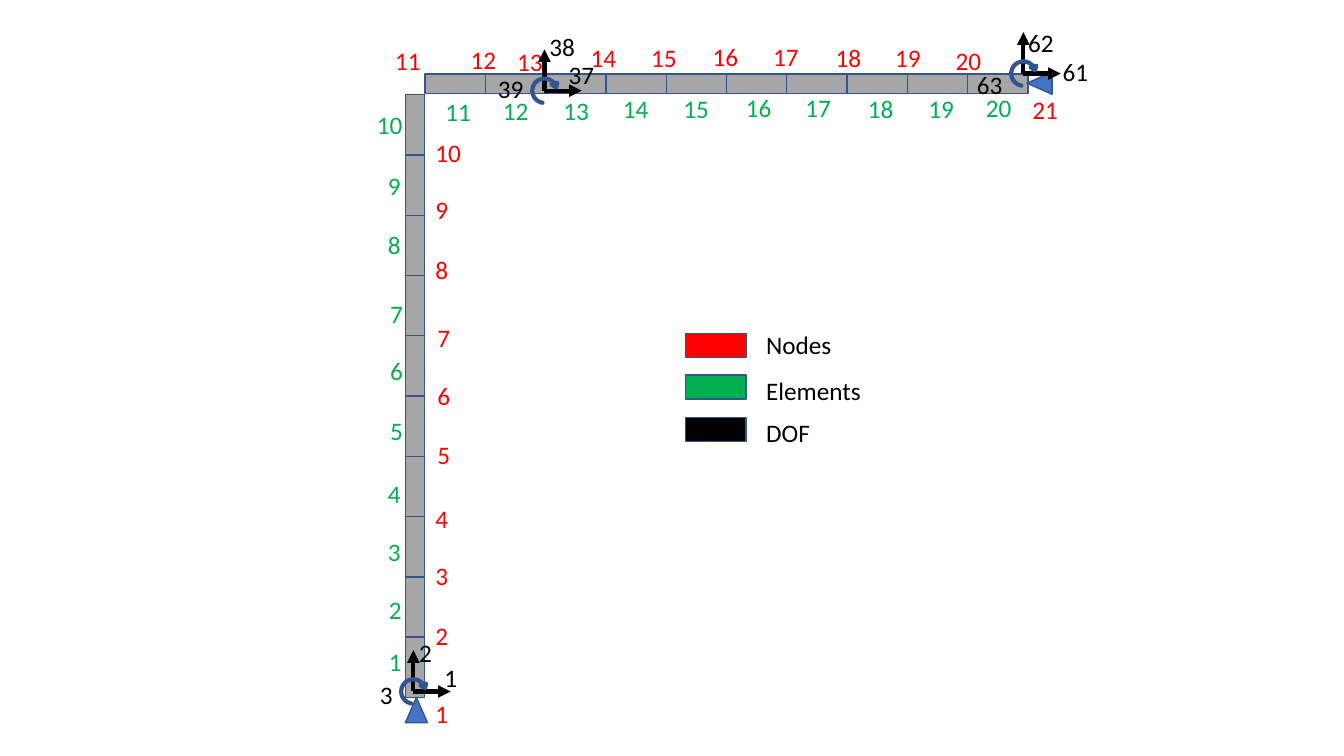
from lxml import etree
from pptx import Presentation
from pptx.dml.color import RGBColor
from pptx.enum.shapes import MSO_CONNECTOR, MSO_SHAPE
from pptx.enum.text import MSO_AUTO_SIZE
from pptx.oxml.ns import qn
from pptx.util import Inches, Pt

RECTANGLE = MSO_SHAPE.RECTANGLE
TRIANGLE = MSO_SHAPE.ISOSCELES_TRIANGLE
CIRCULAR_ARROW = MSO_SHAPE.CIRCULAR_ARROW
STRAIGHT = MSO_CONNECTOR.STRAIGHT
GROW = MSO_AUTO_SIZE.SHAPE_TO_FIT_TEXT

RED, GREEN, BLACK = "FF0000", "00B050", "000000"
GREY, BLUE, OUTLINE = "A6A6A6", "4472C4", "325491"
STEP = 0.598  # length of one beam element
LABEL_HEIGHT = 0.4

deck = Presentation()
deck.slide_width = Inches(13.33)
deck.slide_height = Inches(7.5)
page = deck.slides.add_slide(deck.slide_layouts[6])


def add_figure(parent, kind, bounds, fill, rotation=0, weight=1):
    """Add a filled, outlined preset shape to a slide or group."""
    figure = parent.shapes.add_shape(kind, *map(Inches, bounds))
    figure.shadow.inherit = False
    figure.rotation = rotation
    figure.fill.solid()
    figure.fill.fore_color.rgb = RGBColor.from_string(fill)
    figure.line.color.rgb = RGBColor.from_string(OUTLINE)
    figure.line.width = Pt(weight)
    return figure


def add_label(text, left, top, width, color):
    """Add one line of 18 point text."""
    box = page.shapes.add_textbox(*map(Inches, (left, top, width, LABEL_HEIGHT)))
    box.text_frame.word_wrap = True
    box.text_frame.auto_size = GROW
    span = box.text_frame.paragraphs[0].add_run()
    span.text = str(text)
    for name, value in {"name": "Calibri", "size": Pt(18)}.items():
        setattr(span.font, name, value)
    span.font.color.rgb = RGBColor.from_string(color)


# Column, from the bottom up, then beam, from left to right
for index in range(10):
    add_figure(page, RECTANGLE, (4.02, 6.32 - index * STEP, 0.19, 0.6), GREY)
for index in range(10):
    add_figure(page, RECTANGLE, (4.42 + index * STEP, 0.53, 0.19, 0.6), GREY, 90)

# Node and element numbers, placed in counting order from 1
node_places = [
    (4.22, 6.88), (4.22, 6.11), (4.22, 5.51), (4.22, 4.94), (4.24, 4.31),
    (4.24, 3.72), (4.24, 3.15), (4.22, 2.47), (4.22, 1.88), (4.22, 1.31),
    (3.82, 0.40), (4.57, 0.39), (5.03, 0.41), (5.76, 0.37), (6.36, 0.37),
    (6.97, 0.36), (7.57, 0.36), (8.19, 0.37), (8.78, 0.37), (9.38, 0.40),
    (10.14, 0.89),
]
element_places = [
    (3.76, 6.36), (3.76, 5.85), (3.75, 5.27), (3.75, 4.70), (3.77, 4.07),
    (3.77, 3.48), (3.77, 2.91), (3.75, 2.23), (3.75, 1.64), (3.64, 1.04),
    (4.32, 0.91), (4.89, 0.90), (5.49, 0.90), (6.08, 0.88), (6.68, 0.88),
    (7.30, 0.87), (7.89, 0.87), (8.51, 0.88), (9.11, 0.88), (9.68, 0.87),
]
for places, color in ((node_places, RED), (element_places, GREEN)):
    for number, (left, top) in enumerate(places, 1):
        add_label(number, left, top, 0.36 if number < 10 else 0.6, color)

# Supports
add_figure(page, TRIANGLE, (4.02, 6.92, 0.22, 0.25), BLUE)
add_figure(page, TRIANGLE, (10.2, 0.7, 0.22, 0.25), BLUE, 270)

# Degrees of freedom: axes, rotation arrow and three numbers at each joint
joints = [
    ((4.1, 6.86), [(1, 4.31, 6.52, 0.34), (2, 4.06, 6.27, 0.34), (3, 3.67, 6.69, 0.34)]),
    ((5.4, 0.9), [(37, 5.54, 0.54, 0.49), (38, 5.35, 0.26, 0.46), (39, 4.84, 0.68, 0.47)]),
    ((10.15, 0.73), [(61, 10.44, 0.51, 0.49), (62, 10.1, 0.22, 0.46), (63, 9.59, 0.64, 0.47)]),
]
for (x, y), freedoms in joints:
    group = page.shapes.add_group_shape()
    for end_x, end_y in ((x, y - 0.41), (x + 0.37, y)):
        axis = group.shapes.add_connector(STRAIGHT, *map(Inches, (x, y, end_x, end_y)))
        axis.line.color.rgb = RGBColor.from_string(BLACK)
        axis.line.width = Pt(3)
        etree.SubElement(axis.line._get_or_add_ln(), qn("a:tailEnd"), type="triangle")
        etree.SubElement(axis._element.spPr, qn("a:effectLst"))
    turn = add_figure(group, CIRCULAR_ARROW, (x - 0.15, y - 0.15, 0.3, 0.3), BLACK, 344.6, 3)
    for index, value in enumerate((0, 11.716, 204.172, 68.777, 0.097)):
        turn.adjustments[index] = value
    for number, left, top, width in freedoms:
        add_label(number, left, top, width, BLACK)

# Legend
legend = [
    ("Nodes", RED, 3.31, 3.22, 1.11),
    ("Elements", GREEN, 3.72, 3.67, 1.49),
    ("DOF", BLACK, 4.14, 4.09, 1.49),
]
for name, color, swatch_top, label_top, width in legend:
    add_figure(page, RECTANGLE, (6.8, swatch_top, 0.6, 0.24), color)
    add_label(name, 7.5, label_top, width, BLACK)

deck.save("out.pptx")
